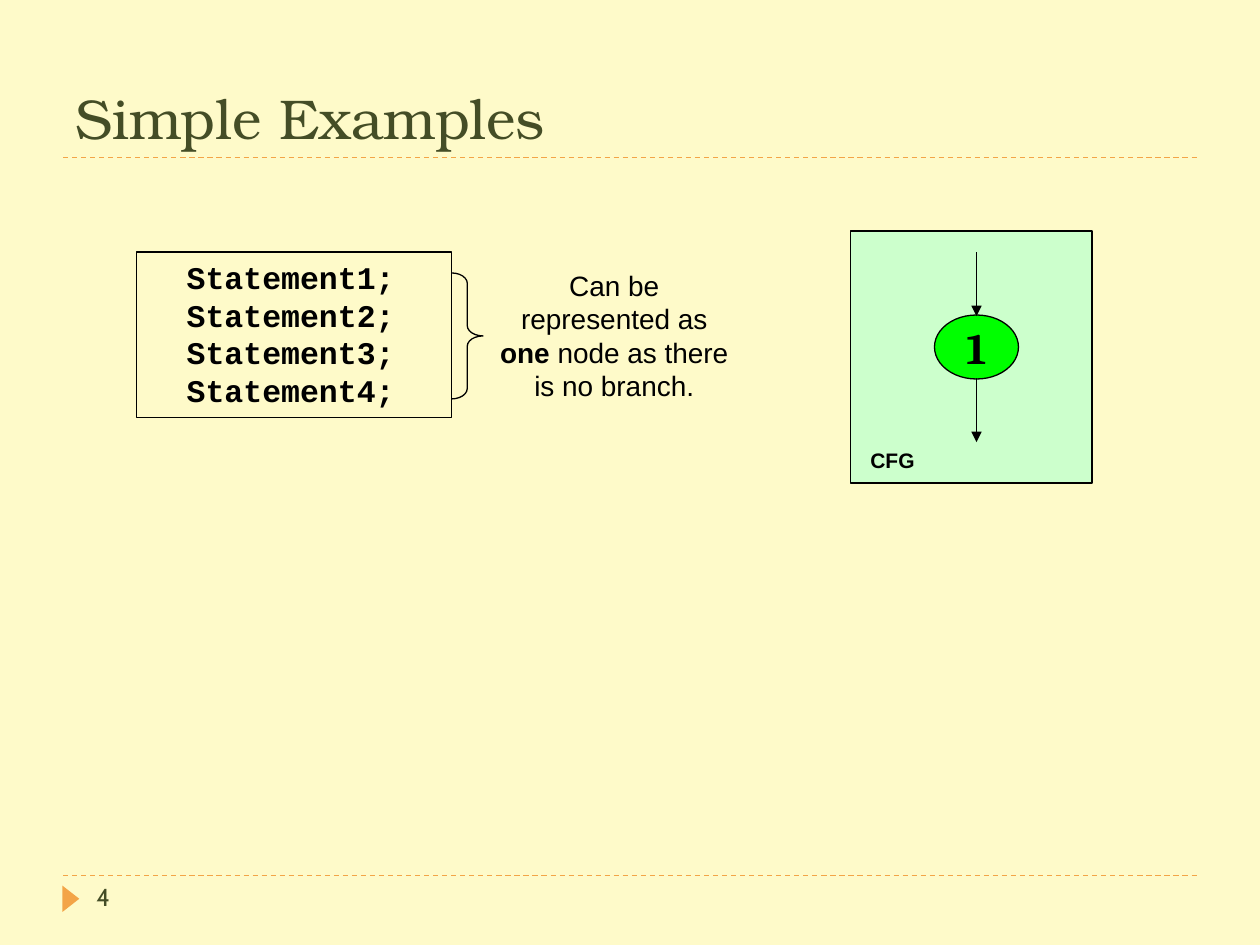
import dataclasses

import pptx
import pptx.dml.color
import pptx.enum.dml
import pptx.enum.shapes
import pptx.enum.text
import pptx.oxml
import pptx.oxml.ns
import pptx.util

SHAPES = pptx.enum.shapes.MSO_SHAPE
ALIGN = pptx.enum.text.PP_ALIGN
ANCHOR = pptx.enum.text.MSO_ANCHOR
TITLE_ONLY = 5
CELLS_PER_INCH = 12


@dataclasses.dataclass(frozen=True)
class Theme:
    background: str = "FEFAC9"
    accent: str = "F3A447"
    heading: str = "444D26"
    ink: str = "000000"
    panel: str = "CCFFCC"
    node: str = "00FF00"
    thin: float = 0.75
    title: tuple = ("TeX Gyre Bonum", 32)
    code: tuple = ("Courier New", 18)
    body: tuple = ("Arial", 16)
    caption: tuple = ("Arial", 12)
    node_label: tuple = ("Cambria", 25)
    page_number: tuple = ("Cabin", 14)


THEME = Theme()


def cells(count):
    return pptx.util.Inches(count / CELLS_PER_INCH)


def box(column, row, columns, rows):
    return [cells(count) for count in (column, row, columns, rows)]


def color(value):
    return pptx.dml.color.RGBColor.from_string(value)


def apply(target, values):
    for name, value in values.items():
        setattr(target, name, value)


def write(shape, paragraphs, style, ink=THEME.ink, bold=False, frame=None, layout=None):
    """Fill a shape with paragraphs, each a list of (text, bold) runs or a string."""
    text_frame = shape.text_frame
    apply(text_frame, {"word_wrap": True, "vertical_anchor": ANCHOR.TOP, **(frame or {})})
    for index, content in enumerate(paragraphs):
        paragraph = text_frame.add_paragraph() if index else text_frame.paragraphs[0]
        apply(paragraph, {"alignment": ALIGN.LEFT, **(layout or {})})
        runs = [(content, bold)] if isinstance(content, str) else content
        for text, run_bold in runs:
            run = paragraph.add_run()
            run.text = text
            name, size = style
            apply(run.font, {"name": name, "size": pptx.util.Pt(size), "bold": run_bold})
            run.font.color.rgb = color(ink)


def add_text(slide, area, paragraphs, style, **options):
    write(slide.shapes.add_textbox(*area), paragraphs, style, **options)


def add_shape(slide, kind, area, fill=None, line=None, width=THEME.thin):
    shape = slide.shapes.add_shape(kind, *area)
    shape.shadow.inherit = False
    if fill:
        shape.fill.solid()
        shape.fill.fore_color.rgb = color(fill)
    else:
        shape.fill.background()
    if line:
        shape.line.color.rgb = color(line)
        shape.line.width = pptx.util.Pt(width)
    else:
        shape.line.fill.background()
    return shape


def add_line(slide, start, end, ink):
    points = [cells(count) for count in (*start, *end)]
    line = slide.shapes.add_connector(pptx.enum.shapes.MSO_CONNECTOR.STRAIGHT, *points)
    line.line.color.rgb = color(ink)
    line.line.width = pptx.util.Pt(THEME.thin)
    pptx.oxml.ns.qn("a:effectLst")
    properties = line._element.spPr
    properties.append(properties.makeelement(pptx.oxml.ns.qn("a:effectLst"), {}))
    return line


def add_rule(slide, row):
    rule = add_line(slide, (6, row), (114, row), THEME.accent)
    rule.line.dash_style = pptx.enum.dml.MSO_LINE.DASH


def add_arrow(slide, column, top, bottom):
    arrow = add_line(slide, (column, top), (column, bottom), THEME.ink)
    outline = arrow.line._get_or_add_ln()
    outline.append(outline.makeelement(pptx.oxml.ns.qn("a:tailEnd"), {"type": "triangle"}))


def add_frame(slide):
    """Background, dashed rules, title and page number."""
    slide.background.fill.solid()
    slide.background.fill.fore_color.rgb = color(THEME.background)
    for row in (83.4, 15):
        add_rule(slide, row)
    marker = add_shape(slide, SHAPES.ISOSCELES_TRIANGLE, box(5.5, 84.8, 2.5, 1.6), THEME.accent)
    marker.rotation = 90
    title = slide.shapes.title
    apply(title, dict(zip(("left", "top", "width", "height"), box(6, 2, 108, 13))))
    write(title, ["Simple Examples"], THEME.title, THEME.heading,
          frame={"vertical_anchor": ANCHOR.BOTTOM})
    add_text(slide, box(8, 83.4, 26, 4.8), ["4"], THEME.page_number, ink=THEME.heading)


def add_statements(slide):
    block = add_shape(slide, SHAPES.RECTANGLE, box(13, 24, 30, 15.8), line=THEME.ink)
    write(block, [f"  Statement{number};" for number in range(1, 5)], THEME.code,
          bold=True, layout={"line_spacing": pptx.util.Pt(21.5)})
    brace = add_shape(slide, SHAPES.RIGHT_BRACE, box(43, 26, 3, 12), line=THEME.ink)
    brace.adjustments[0] = 0.33
    sentence = [("Can be represented as ", False), ("one ", True),
                ("node as there is no branch.", False)]
    add_text(slide, box(46, 25, 25, 14), [sentence], THEME.body,
             layout={"alignment": ALIGN.CENTER, "line_spacing": pptx.util.Pt(19.1)})


def add_flow_graph(slide):
    centered = {"alignment": ALIGN.CENTER}
    add_shape(slide, SHAPES.RECTANGLE, box(81, 22, 23, 24), THEME.panel, THEME.ink, 1)
    node = add_shape(slide, SHAPES.OVAL, box(89, 30, 8, 6.1), THEME.node, THEME.ink)
    write(node, ["1"], THEME.node_label, bold=True, layout=centered,
          frame={"word_wrap": False, "vertical_anchor": ANCHOR.MIDDLE})
    for top in (24, 36):
        add_arrow(slide, 93, top, top + 6.1)
    add_text(slide, box(81, 42, 8, 3.6), ["CFG"], THEME.caption, bold=True, layout=centered)


def main():
    presentation = pptx.Presentation()
    presentation.slide_width = pptx.util.Inches(10)
    presentation.slide_height = pptx.util.Inches(7.5)
    slide = presentation.slides.add_slide(presentation.slide_layouts[TITLE_ONLY])
    add_frame(slide)
    add_statements(slide)
    add_flow_graph(slide)
    presentation.save("out.pptx")


if __name__ == "__main__":
    main()
